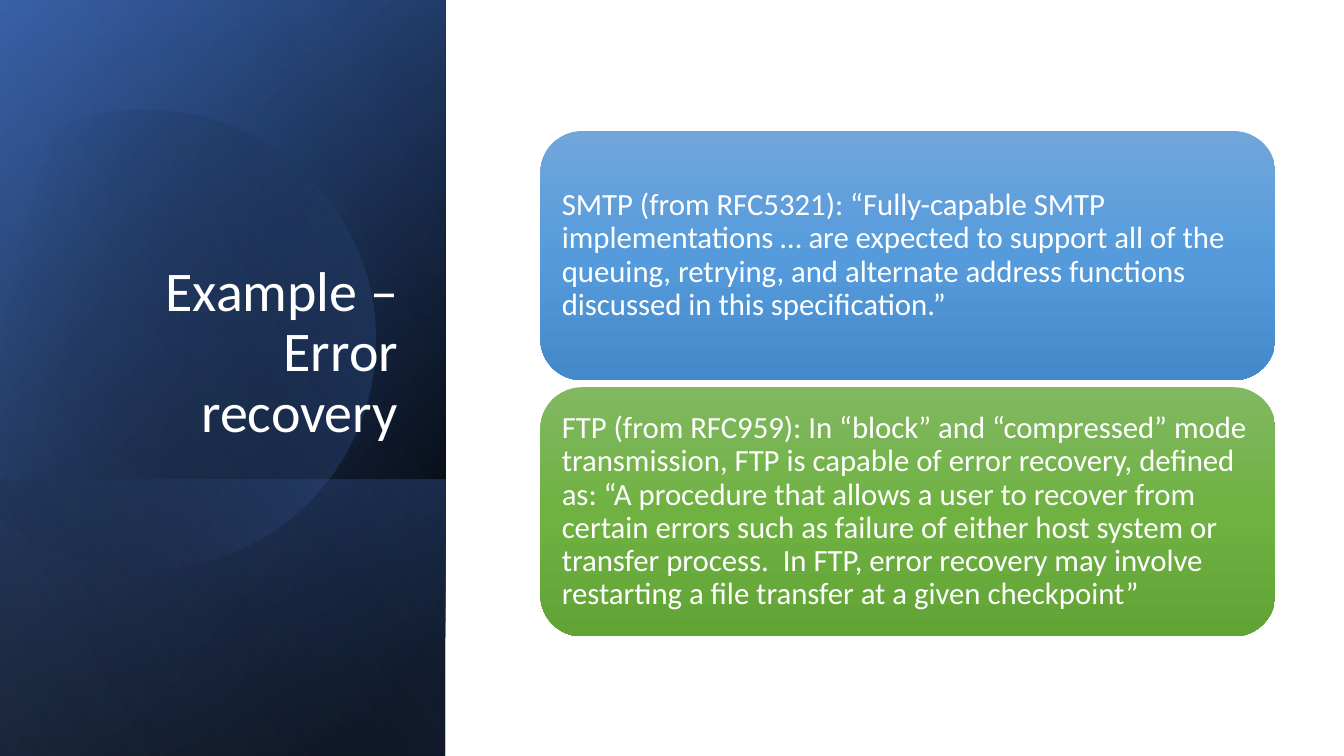
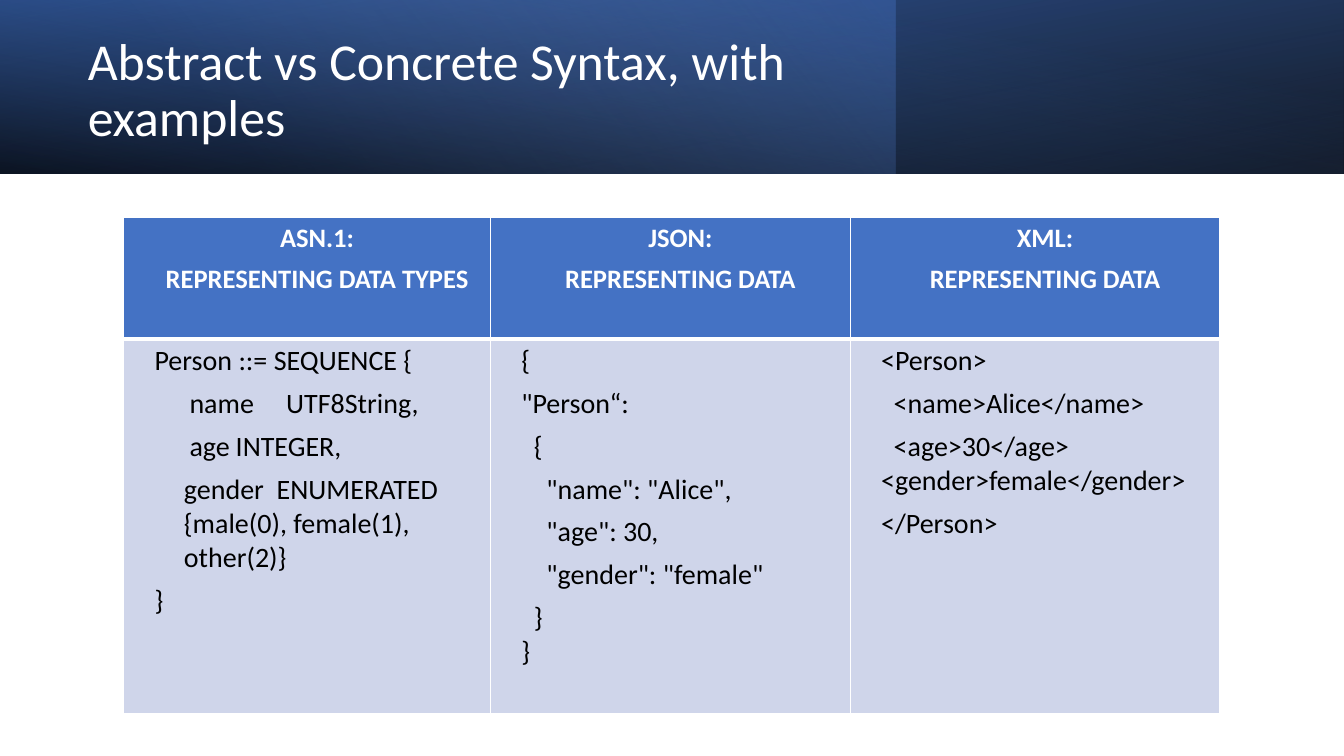
from dataclasses import dataclass

from lxml.etree import SubElement
from pptx import Presentation
from pptx.dml.color import RGBColor
from pptx.enum.shapes import MSO_SHAPE
from pptx.enum.text import MSO_ANCHOR, MSO_AUTO_SIZE, PP_ALIGN
from pptx.oxml.ns import qn
from pptx.util import Pt

FONT = "Calibri"
WHITE = RGBColor(0xFF, 0xFF, 0xFF)
BLACK = RGBColor(0x00, 0x00, 0x00)
BLUE = RGBColor(0x44, 0x72, 0xC4)
DARK_BLUE = RGBColor(0x2F, 0x55, 0x97)
PALE_BLUE = RGBColor(0x8F, 0xAA, 0xDC)
BODY_FILL = RGBColor(0xCF, 0xD5, 0xEA)

PAGE_WIDTH, PAGE_HEIGHT = 960, 540
PANEL_WIDTH = 318.2
BAND_HEIGHT = 124


@dataclass(frozen=True)
class Stop:
    position: int
    color: RGBColor
    opacity: int = 100


@dataclass(frozen=True)
class Frame:
    left: float
    top: float
    width: float
    height: float


@dataclass(frozen=True)
class Layer:
    """A gradient shape; frame is the area it covers after rotation."""
    frame: Frame
    stops: tuple[Stop, ...]
    angle: int
    rotation: float = 0
    flipped: bool = False
    preset: MSO_SHAPE = MSO_SHAPE.RECTANGLE
    adjustments: tuple[float, ...] = ()


@dataclass(frozen=True)
class Card:
    text: str
    colors: tuple[RGBColor, RGBColor, RGBColor]


@dataclass(frozen=True)
class Line:
    text: str
    margin: float = 14
    first_indent: float = 0
    tab: float = 0


@dataclass(frozen=True)
class Column:
    width: float
    heading: tuple[str, str]
    code: tuple[Line, ...]


PANEL = Frame(0, 0, PANEL_WIDTH, PAGE_HEIGHT)
BAND = Frame(0, 0, PAGE_WIDTH, BAND_HEIGHT)

PANEL_LAYERS = (
    Layer(PANEL, (Stop(8, BLACK), Stop(100, DARK_BLUE)), 50, 90, True),
    Layer(PANEL, (Stop(0, BLACK, 0), Stop(99, BLUE, 46)), 30, 90, True),
    Layer(Frame(0, 342.7, PANEL_WIDTH, 197.3),
          (Stop(2, BLUE, 29), Stop(100, BLACK, 30)), 130, 90, True),
    # Chord angles are in degrees times 0.6
    Layer(Frame(-60.5, 78.5, 328.5, 328.5),
          (Stop(29, BLACK, 0), Stop(100, BLUE, 43)), 30, 343.9,
          preset=MSO_SHAPE.CHORD, adjustments=(242 * 0.6, 150 * 0.6)),
    Layer(PANEL, (Stop(0, BLACK, 0), Stop(99, PALE_BLUE, 11)), 120, 90, True),
)

BAND_LAYERS = (
    Layer(BAND, (Stop(0, BLACK, 96), Stop(100, DARK_BLUE)), 100, 180, True),
    Layer(Frame(0, 0, 640, BAND_HEIGHT),
          (Stop(0, BLUE, 41), Stop(74, PALE_BLUE, 0)), 140),
    Layer(BAND, (Stop(0, BLACK, 63), Stop(78, BLUE, 15)), 260, flipped=True),
)

CARDS = (
    Card("SMTP (from RFC5321): “Fully-capable SMTP implementations … are expected "
         "to support all of the queuing, retrying, and alternate address functions "
         "discussed in this specification.”",
         (RGBColor(0x71, 0xA6, 0xDB), RGBColor(0x55, 0x9B, 0xDB),
          RGBColor(0x44, 0x8A, 0xCA))),
    Card("FTP (from RFC959): In “block” and “compressed” mode transmission, FTP is "
         "capable of error recovery, defined as: “A procedure that allows a user to "
         "recover from certain errors such as failure of either host system or "
         "transfer process.  In FTP, error recovery may involve restarting a file "
         "transfer at a given checkpoint”",
         (RGBColor(0x81, 0xB8, 0x61), RGBColor(0x6F, 0xB2, 0x42),
          RGBColor(0x62, 0xA3, 0x36))),
)

COLUMNS = (
    Column(262, ("ASN.1:", "REPRESENTING DATA TYPES"), (
        Line("Person ::= SEQUENCE {"),
        Line("name\tUTF8String,", 0, 39, 103),
        Line("age\tINTEGER,", 0, 39, 103),
        Line("gender  ENUMERATED {male(0), female(1), other(2)}", 35),
        Line("}"),
    )),
    Column(257, ("JSON:", "REPRESENTING DATA"), (
        Line("{"),
        Line('"Person“:'),
        Line("{", first_indent=9),
        Line('"name": "Alice",', first_indent=18),
        Line('"age": 30,', first_indent=18),
        Line('"gender": "female"', first_indent=18),
        Line("}\v}", first_indent=9),
    )),
    Column(264, ("XML:", "REPRESENTING DATA"), (
        Line("<Person>"),
        Line("<name>Alice</name>", first_indent=9),
        Line("<age>30</age> <gender>female</gender>", first_indent=9),
        Line("</Person>"),
    )),
)


def style_paragraph(paragraph, size: float, color: RGBColor, bold: bool = False) -> None:
    font = paragraph.font
    font.name, font.size, font.bold = FONT, Pt(size), bold
    font.color.rgb = color


def fill_gradient(shape, stops: tuple[Stop, ...], angle: int) -> None:
    shape.fill.background()
    properties = shape.element.spPr
    empty_fill = properties.find(qn("a:noFill"))
    gradient = SubElement(properties, qn("a:gradFill"), rotWithShape="1")
    properties.replace(empty_fill, gradient)
    stop_list = SubElement(gradient, qn("a:gsLst"))
    for stop in stops:
        entry = SubElement(stop_list, qn("a:gs"), pos=str(stop.position * 1000))
        color = SubElement(entry, qn("a:srgbClr"), val=str(stop.color))
        if stop.opacity < 100:
            SubElement(color, qn("a:alpha"), val=str(stop.opacity * 1000))
    SubElement(gradient, qn("a:lin"), ang=str(angle * 60000), scaled="0")


def add_layer(page, layer: Layer):
    frame = layer.frame
    width, height = frame.width, frame.height
    if layer.rotation == 90:
        width, height = height, width
    left = frame.left + (frame.width - width) / 2
    top = frame.top + (frame.height - height) / 2
    shape = page.shapes.add_shape(layer.preset, Pt(left), Pt(top), Pt(width), Pt(height))
    for index, value in enumerate(layer.adjustments):
        shape.adjustments[index] = value
    shape.rotation = layer.rotation
    if layer.flipped:
        shape.element.spPr.find(qn("a:xfrm")).set("flipH", "1")
    shape.shadow.inherit = False
    shape.line.fill.background()
    fill_gradient(shape, layer.stops, layer.angle)
    return shape


def add_page(deck, layers: tuple[Layer, ...], title: str, frame: Frame, size: float,
             alignment: PP_ALIGN, anchor: MSO_ANCHOR):
    """Add a title-only slide with the title in front of its layers."""
    page = deck.slides.add_slide(deck.slide_layouts[5])
    for layer in layers:
        add_layer(page, layer)
    box = page.shapes.title
    box.element.getparent().append(box.element)
    box.left, box.top = Pt(frame.left), Pt(frame.top)
    box.width, box.height = Pt(frame.width), Pt(frame.height)
    text_frame = box.text_frame
    text_frame.text = title
    text_frame.word_wrap = True
    text_frame.auto_size = MSO_AUTO_SIZE.NONE
    text_frame.vertical_anchor = anchor
    paragraph = text_frame.paragraphs[0]
    paragraph.alignment = alignment
    paragraph.line_spacing = 0.9
    style_paragraph(paragraph, size, WHITE)
    return page


def add_card(page, card: Card, frame: Frame) -> None:
    stops = tuple(Stop(50 * index, color) for index, color in enumerate(card.colors))
    shape = add_layer(page, Layer(frame, stops, 90, preset=MSO_SHAPE.ROUNDED_RECTANGLE))
    text_frame = shape.text_frame
    text_frame.text = card.text
    text_frame.word_wrap = True
    text_frame.vertical_anchor = MSO_ANCHOR.MIDDLE
    text_frame.margin_left = text_frame.margin_right = Pt(6.6)
    text_frame.margin_top = text_frame.margin_bottom = Pt(6.6)
    paragraph = text_frame.paragraphs[0]
    paragraph.alignment = PP_ALIGN.LEFT
    paragraph.line_spacing = 0.9
    style_paragraph(paragraph, 22, WHITE)


def set_borders(cell, bottom_width: float) -> None:
    properties = cell._tc.get_or_add_tcPr()
    widths = {"a:lnL": 1, "a:lnR": 1, "a:lnT": 1, "a:lnB": bottom_width}
    for index, (tag, width) in enumerate(widths.items()):
        border = SubElement(properties, qn(tag), w=str(Pt(width)))
        fill = SubElement(border, qn("a:solidFill"))
        SubElement(fill, qn("a:srgbClr"), val=str(WHITE))
        properties.insert(index, border)


def fill_cell(cell, lines: tuple[Line, ...], is_header: bool) -> None:
    cell.fill.solid()
    cell.fill.fore_color.rgb = BLUE if is_header else BODY_FILL
    set_borders(cell, 3 if is_header else 1)
    cell.margin_left = cell.margin_right = Pt(7.9)
    cell.margin_top = cell.margin_bottom = Pt(3.9)
    text_frame = cell.text_frame
    for index, line in enumerate(lines):
        paragraph = text_frame.add_paragraph() if index else text_frame.paragraphs[0]
        paragraph.text = line.text
        paragraph.alignment = PP_ALIGN.CENTER if is_header else PP_ALIGN.LEFT
        paragraph.space_after = Pt(6)
        if is_header:
            style_paragraph(paragraph, 19, WHITE, bold=True)
        else:
            style_paragraph(paragraph, 20, BLACK)
        properties = paragraph._p.get_or_add_pPr()
        properties.set("marL", str(Pt(line.margin)))
        properties.set("indent", str(Pt(line.first_indent)))
        if line.tab:
            tabs = SubElement(properties, qn("a:tabLst"))
            SubElement(tabs, qn("a:tab"), pos=str(Pt(line.tab)), algn="l")
            properties.find(qn("a:defRPr")).addprevious(tabs)


def add_syntax_table(page) -> None:
    row_heights = (87, 268)
    width = sum(column.width for column in COLUMNS)
    table = page.shapes.add_table(len(row_heights), len(COLUMNS), Pt(88.5), Pt(155),
                                  Pt(width), Pt(sum(row_heights))).table
    for row, height in zip(table.rows, row_heights):
        row.height = Pt(height)
    for index, column in enumerate(COLUMNS):
        table.columns[index].width = Pt(column.width)
        heading = tuple(Line(text) for text in column.heading)
        fill_cell(table.cell(0, index), heading, is_header=True)
        fill_cell(table.cell(1, index), column.code, is_header=False)


def main() -> None:
    deck = Presentation()
    deck.slide_width, deck.slide_height = Pt(PAGE_WIDTH), Pt(PAGE_HEIGHT)

    recovery = add_page(deck, PANEL_LAYERS, "Example – Error recovery",
                        Frame(46, 132.5, 245.5, 188.5), 40,
                        PP_ALIGN.RIGHT, MSO_ANCHOR.BOTTOM)
    for index, card in enumerate(CARDS):
        add_card(recovery, card, Frame(386, 93.6 + 183 * index, 525, 178))

    syntax = add_page(deck, BAND_LAYERS, "Abstract vs Concrete Syntax, with examples",
                      Frame(55.5, 19.5, 556, 91.5), 37,
                      PP_ALIGN.LEFT, MSO_ANCHOR.MIDDLE)
    add_syntax_table(syntax)
    deck.save("out.pptx")


if __name__ == "__main__":
    main()
